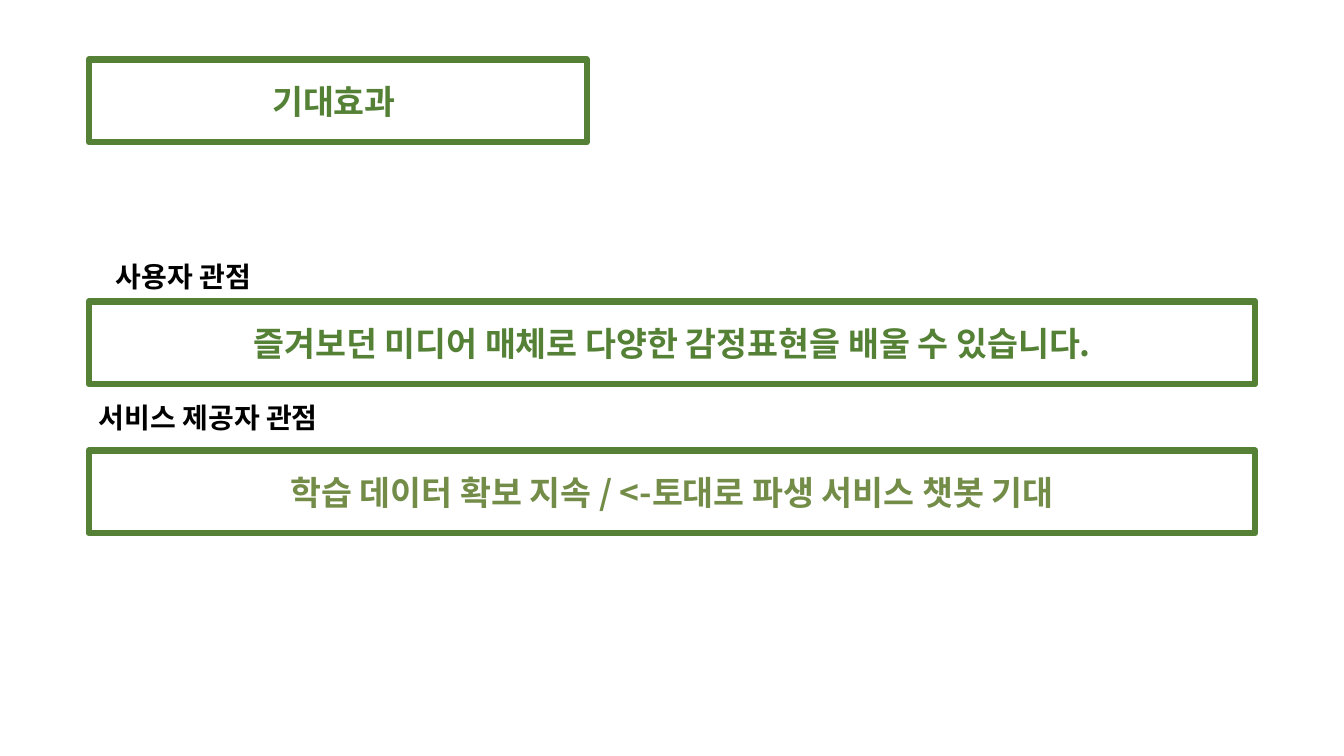
from lxml import etree
from pptx import Presentation
from pptx import util as u
from pptx.dml.color import RGBColor
from pptx.enum import shapes, text
from pptx.oxml import ns

GREEN = RGBColor(0x54, 0x81, 0x35)
OLIVE = RGBColor(0x73, 0x8D, 0x49)
BLACK = RGBColor(0, 0, 0)
WHITE = RGBColor(255, 255, 255)
FONT = "Noto Sans CJK KR"
LEFT, WIDE, BOX_H, LABEL_H = 0.88, 11.57, 0.82, 0.44


def write(sp, words, size, color, align, anchor):
    tf = sp.text_frame
    tf.text = words
    tf.word_wrap = True
    tf.auto_size = text.MSO_AUTO_SIZE.NONE
    tf.vertical_anchor = anchor
    p = tf.paragraphs[0]
    p.alignment = align
    r = p.runs[0]
    r.font.size, r.font.bold, r.font.name = u.Pt(size), True, FONT
    r.font.color.rgb = color
    # Korean glyphs take the East Asian typeface
    ea = etree.SubElement(r.font._element, ns.qn("a:ea"))
    ea.set("typeface", FONT)


def frame(sp, words, color):
    """Give a box its white fill, green border and centred text."""
    sp.fill.solid()
    sp.fill.fore_color.rgb = WHITE
    sp.line.color.rgb = GREEN
    sp.line.width = u.Pt(4.5)
    write(sp, words, 24, color, text.PP_ALIGN.CENTER, text.MSO_ANCHOR.MIDDLE)


prs = Presentation()
prs.slide_width, prs.slide_height = u.Inches(13.33), u.Inches(7.5)
s = prs.slides.add_slide(prs.slide_layouts[5])

title = s.shapes.title
title.left, title.top = u.Inches(LEFT), u.Inches(0.59)
title.width, title.height = u.Inches(4.94), u.Inches(BOX_H)
frame(title, "기대효과 ", GREEN)

effects = [
    (2.99, "즐겨보던 미디어 매체로 다양한 감정표현을 배울 수 있습니다.", GREEN),
    (4.47, "학습 데이터 확보 지속 / <-토대로 파생 서비스 챗봇 기대", OLIVE),
]
for top, words, color in effects:
    sp = s.shapes.add_shape(shapes.MSO_SHAPE.RECTANGLE, u.Inches(LEFT),
                            u.Inches(top), u.Inches(WIDE), u.Inches(BOX_H))
    sp.shadow.inherit = False
    frame(sp, words, color)

viewpoints = [
    (LEFT, 3.92, 2.92, "서비스 제공자 관점"),
    (1.05, 2.53, 2.28, "사용자 관점"),
]
for left, top, width, words in viewpoints:
    label = s.shapes.add_textbox(u.Inches(left), u.Inches(top),
                                 u.Inches(width), u.Inches(LABEL_H))
    write(label, words, 20, BLACK, text.PP_ALIGN.LEFT, text.MSO_ANCHOR.TOP)

prs.save("out.pptx")
